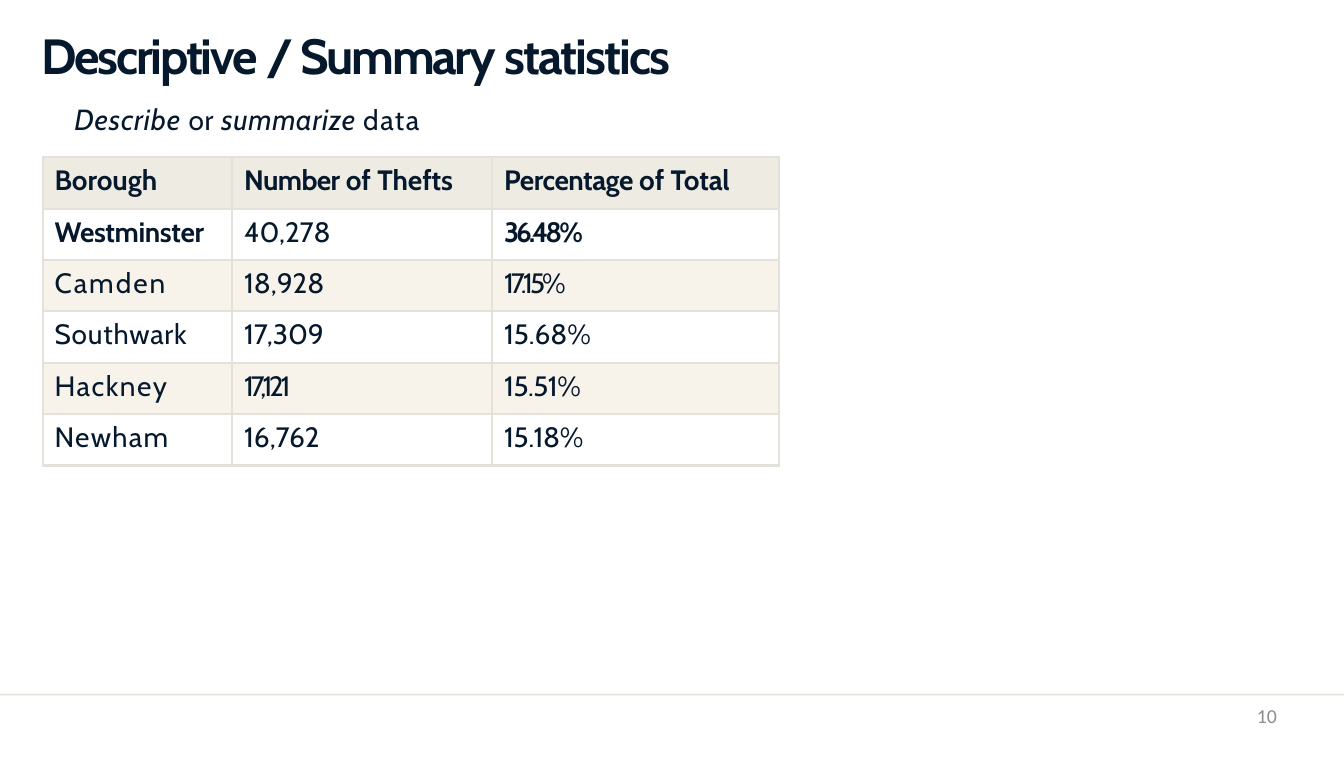
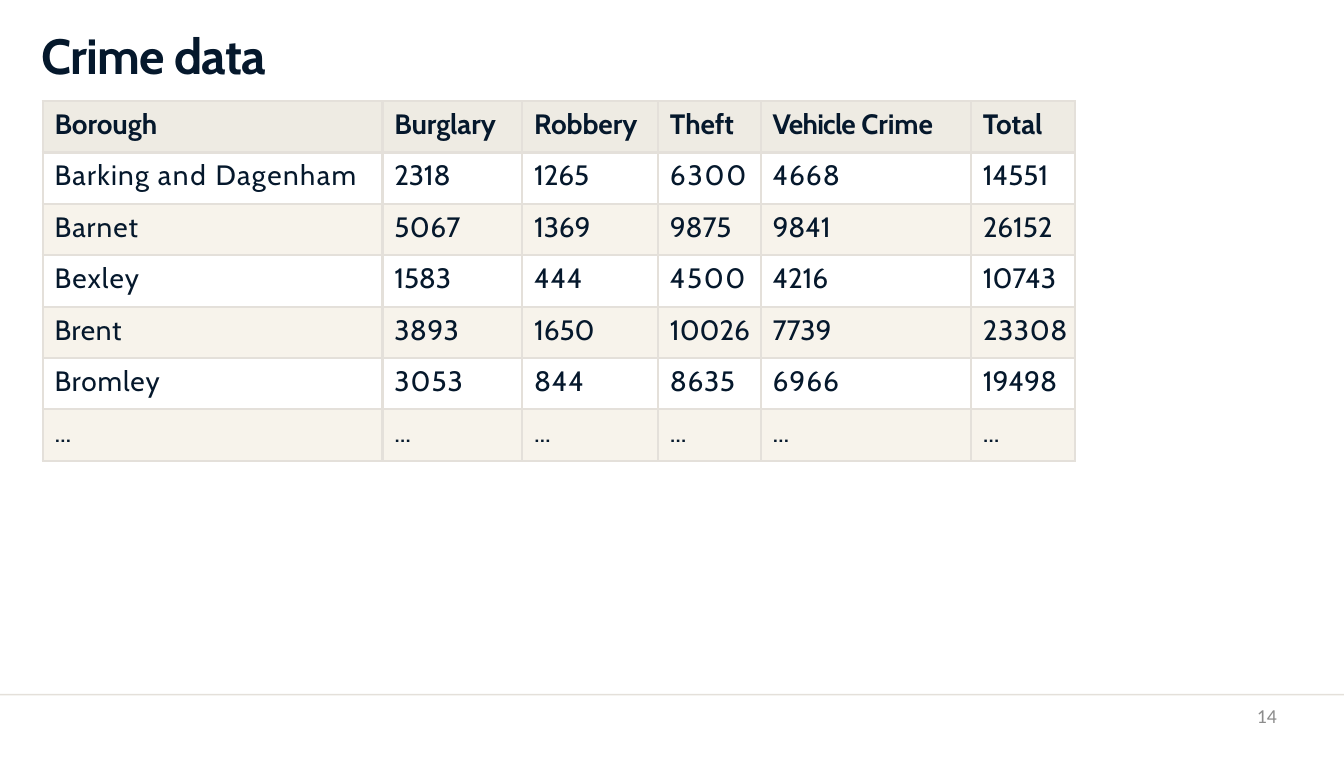
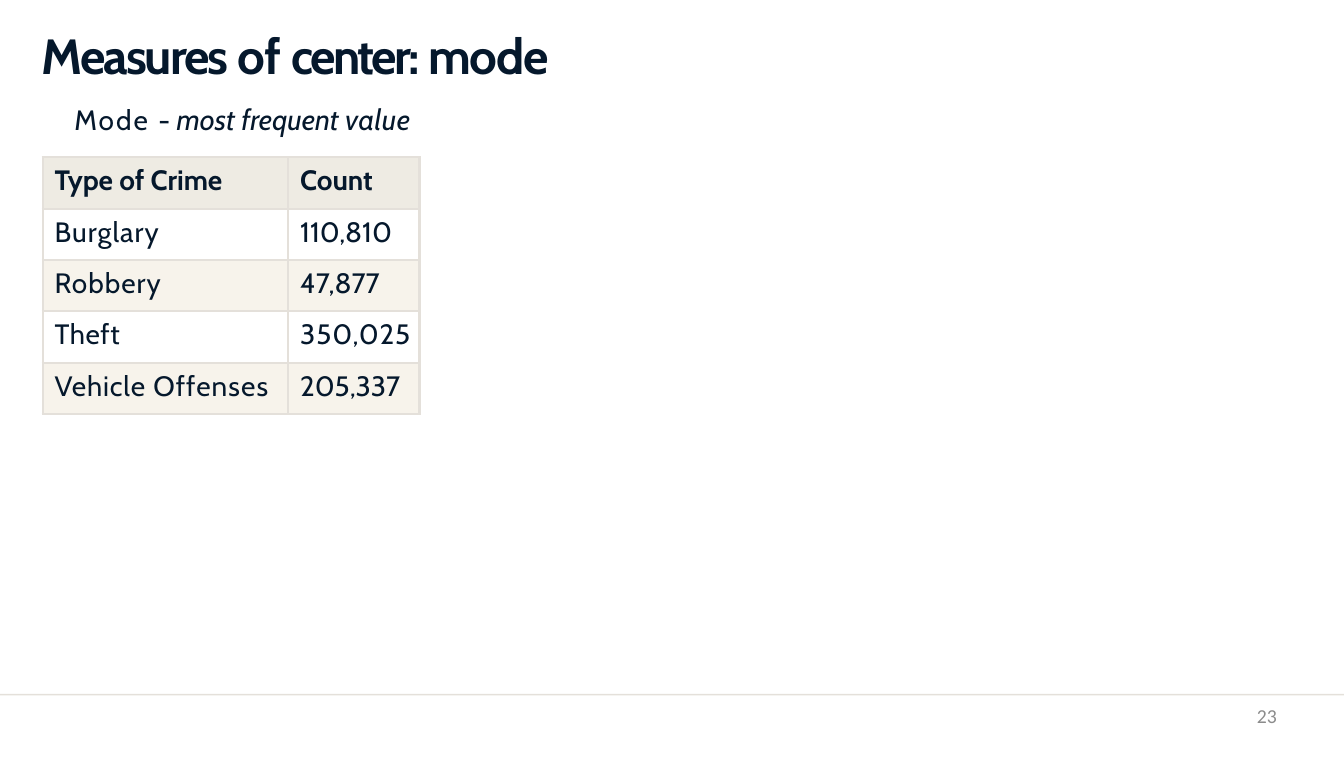
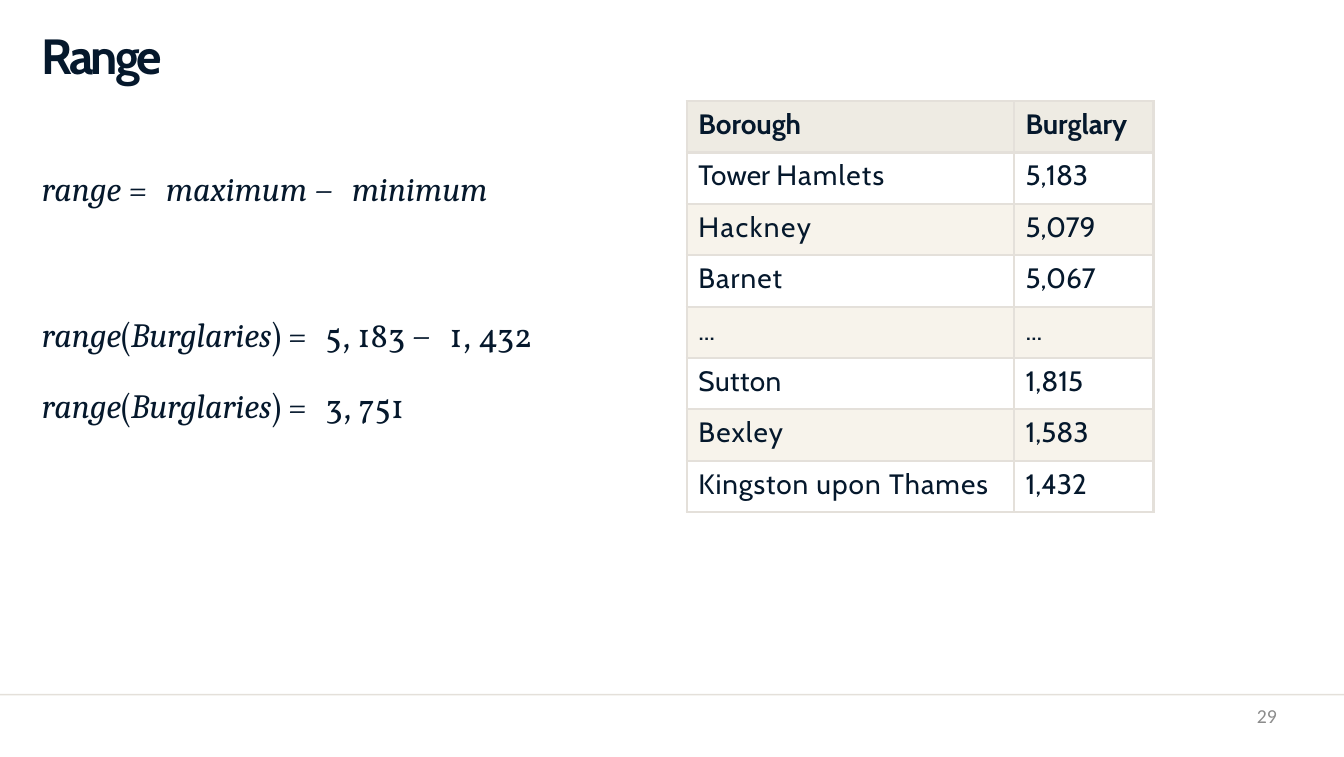
from dataclasses import dataclass
from typing import NamedTuple, Optional

from lxml.etree import SubElement
from pptx import Presentation
from pptx.dml.color import RGBColor
from pptx.enum.shapes import MSO_SHAPE as Preset
from pptx.enum.text import MSO_ANCHOR as Anchor, MSO_AUTO_SIZE as AutoSize, PP_ALIGN as Align
from pptx.oxml.ns import qn
from pptx.util import Inches, Pt


@dataclass(frozen=True)
class Theme:
    ink: RGBColor = RGBColor(0x05, 0x18, 0x2C)
    rule: RGBColor = RGBColor(0xE4, 0xE0, 0xDA)
    header: RGBColor = RGBColor(0xEE, 0xEB, 0xE3)
    stripe: RGBColor = RGBColor(0xF7, 0xF3, 0xEB)
    muted: RGBColor = RGBColor(0x8C, 0x8C, 0x8C)
    font: str = "Cabin"
    number_font: str = "Calibri"
    variable_font: str = "Cambria"
    symbol_font: str = "Vollkorn"
    title_size: float = 45
    body_size: float = 25.5
    emphasis_size: float = 26.5
    equation_size: float = 31
    number_size: float = 18
    border_width: float = 2.25


THEME = Theme()


class Box(NamedTuple):
    left: float
    top: float
    width: float
    height: float

    def lengths(self):
        return [Inches(value) for value in self]


class Piece(NamedTuple):
    text: str
    spacing: float = -0.1
    bold: bool = False
    italic: bool = False
    font: str = THEME.font
    size: float = THEME.body_size
    color: RGBColor = THEME.ink


SLIDE_WIDTH, SLIDE_HEIGHT = 17.01, 9.58
TITLE_BOX = Box(0.53, 0.3, 15.84, 0.78)
SUBTITLE_BOX = Box(0.94, 1.27, 4.78, 0.47)
EQUATION_BOX = Box(0.53, 2.1, 6.85, 3.23)
NUMBER_BOX = Box(12.25, 8.91, 3.91, 0.48)
RULE_BOX = Box(0, 8.78, SLIDE_WIDTH, 0.02)
TABLE_LEFT, TABLE_TOP, TABLE_TOP_BELOW_SUBTITLE = 0.54, 1.28, 1.99
ROW_HEIGHT = 0.65


def write_pieces(paragraph, pieces, space_before=0.0):
    paragraph.space_before = Pt(space_before)
    for piece in pieces:
        run = paragraph.add_run()
        run.text = piece.text
        run.font.name = piece.font
        run.font.size = Pt(piece.size)
        run.font.bold = piece.bold
        run.font.italic = piece.italic
        run.font.color.rgb = piece.color
        run._r.get_or_add_rPr().set("spc", str(round(piece.spacing * 100)))


def prepare_frame(text_frame, top_margin):
    text_frame.word_wrap = True
    text_frame.auto_size = AutoSize.NONE
    text_frame.vertical_anchor = Anchor.TOP
    text_frame.margin_left = text_frame.margin_right = text_frame.margin_bottom = 0
    text_frame.margin_top = Inches(top_margin)


def add_text(slide, box, lines, top_margin=0.0, align=Align.LEFT):
    text_frame = slide.shapes.add_textbox(*box.lengths()).text_frame
    prepare_frame(text_frame, top_margin)
    for index, (pieces, space_before) in enumerate(lines):
        paragraph = text_frame.add_paragraph() if index else text_frame.paragraphs[0]
        paragraph.alignment = align
        write_pieces(paragraph, pieces, space_before)


def add_title(slide, box, words):
    title = slide.shapes.title
    title.left, title.top, title.width, title.height = box.lengths()
    prepare_frame(title.text_frame, 0.02)
    paragraph = title.text_frame.paragraphs[0]
    paragraph.alignment = Align.LEFT
    pieces = [Piece(text, spacing, bold=True, size=THEME.title_size) for text, spacing in words]
    write_pieces(paragraph, pieces, 1.1)


def add_subtitle(slide, box, pieces):
    add_text(slide, box, [(pieces, 1.1)], top_margin=0.01)


def add_number(slide, box, number):
    piece = Piece(str(number), 0, font=THEME.number_font, size=THEME.number_size, color=THEME.muted)
    add_text(slide, box, [([piece], 0)], align=Align.RIGHT)


def add_master_rule(presentation, slide, box):
    rule = slide.shapes.add_shape(Preset.RECTANGLE, *box.lengths())
    rule.shadow.inherit = False
    rule.fill.solid()
    rule.fill.fore_color.rgb = THEME.rule
    rule.line.fill.background()
    presentation.slide_master.shapes.element.append(rule.element)


def set_borders(cell):
    properties = cell._tc.get_or_add_tcPr()
    for index, side in enumerate(("lnL", "lnR", "lnT", "lnB")):
        line = SubElement(properties, qn(f"a:{side}"), w=str(Pt(THEME.border_width)))
        fill = SubElement(line, qn("a:solidFill"))
        SubElement(fill, qn("a:srgbClr"), val=str(THEME.rule))
        properties.insert(index, line)


def fill_cell(cell, color: Optional[RGBColor]):
    if color is None:
        cell.fill.background()
    else:
        cell.fill.solid()
        cell.fill.fore_color.rgb = color


def as_pieces(content, bold):
    if isinstance(content, str):
        return [Piece(content, bold=bold)]
    if isinstance(content, Piece):
        return [content]
    return [Piece(text, spacing, bold) for text, spacing in content]


def add_data_table(slide, left, top, widths, rows):
    box = Box(left, top, sum(widths), ROW_HEIGHT * len(rows))
    table = slide.shapes.add_table(len(rows), len(widths), *box.lengths()).table
    table.first_row = table.horz_banding = False
    for column, width in zip(table.columns, widths):
        column.width = Inches(width)
    for row_index, (row, contents) in enumerate(zip(table.rows, rows)):
        row.height = Inches(ROW_HEIGHT)
        is_header = row_index == 0
        color = THEME.header if is_header else (None, THEME.stripe)[(row_index + 1) % 2]
        for cell, content in zip(row.cells, contents):
            cell.margin_left, cell.margin_top = Inches(0.15), Inches(0.08)
            cell.margin_right = cell.margin_bottom = 0
            write_pieces(cell.text_frame.paragraphs[0], as_pieces(content, is_header), 5.9)
            fill_cell(cell, color)
            set_borders(cell)


def variable(text):
    return Piece(text, 0, italic=True, font=THEME.variable_font, size=THEME.equation_size)


def symbol(text, spacing=0.0):
    return Piece(text, spacing, font=THEME.symbol_font, size=THEME.equation_size)


def emphasis(text, spacing):
    return Piece(text, spacing, italic=True, size=THEME.emphasis_size)


def add_equations(slide, box):
    equals, minus = symbol("= ", 5.4), symbol("− ", 5.4)
    burglary_range = [variable("range"), symbol("("), variable("Burglaries"), symbol(") "), equals]
    lines = [
        ([variable("range "), equals, variable("maximum "), minus, variable("minimum")], 1.2),
        (burglary_range + [symbol("5, 183 "), minus, symbol("1, "), symbol("432", -0.2)], 96),
        (burglary_range + [symbol("3, "), symbol("751", -0.2)], 27.2),
    ]
    add_text(slide, box, lines, top_margin=0.02)


def add_titled_slide(presentation, words, number):
    slide = presentation.slides.add_slide(presentation.slide_layouts[5])
    add_title(slide, TITLE_BOX, words)
    add_number(slide, NUMBER_BOX, number)
    return slide


def build_summary_slide(presentation):
    words = [("Descriptive ", -2.1), ("/ ", -3.4), ("Summary ", -2.2), ("statistics", -1.8)]
    slide = add_titled_slide(presentation, words, 10)
    add_subtitle(slide, SUBTITLE_BOX, [
        emphasis("Describe ", 0.8), Piece("or ", 0.6), emphasis("summarize ", 0.6), Piece("data", 1.4)])
    add_data_table(slide, TABLE_LEFT, TABLE_TOP_BELOW_SUBTITLE, [2.4, 3.29, 3.63], [
        ["Borough", [("Number ", -0.6), ("of ", 0), ("Thefts", -0.1)],
         [("Percentage ", -0.5), ("of ", 0), ("Total", -0.2)]],
        [Piece("Westminster", -0.4, bold=True), "40,278", Piece("36.48%", -2.8, bold=True)],
        [Piece("Camden", 1.8), "18,928", Piece("17.15%", -2.8)],
        [Piece("Southwark", 0.7), "17,309", "15.68%"],
        [Piece("Hackney", 1.4), Piece("17,121", -3.1), Piece("15.51%", -0.5)],
        [Piece("Newham", 1.2), "16,762", Piece("15.18%", -0.3)],
    ])
    return slide


def build_crime_slide(presentation):
    slide = add_titled_slide(presentation, [("Crime ", -1), ("data", -0.8)], 14)
    add_data_table(slide, TABLE_LEFT, TABLE_TOP, [4.3, 1.77, 1.72, 1.3, 2.66, 1.32], [
        ["Borough", "Burglary", "Robbery", "Theft", [("Vehicle ", -0.7), ("Crime", -0.1)], "Total"],
        [[("Barking ", 1.1), ("and ", 1.5), ("Dagenham", 1.3)], Piece("2318", -0.2),
         Piece("1265", -0.2), Piece("6300", 1.6), Piece("4668", 0.8), "14551"],
        [Piece("Barnet", 0.9), Piece("5067", 0.4), Piece("1369", -0.2), Piece("9875", -0.2),
         Piece("9841", -0.2), "26152"],
        [Piece("Bexley", 1), Piece("1583", -0.2), Piece("444", 0.7), Piece("4500", 1.4),
         Piece("4216", -0.2), "10743"],
        [Piece("Brent", 0.6), Piece("3893", 0.3), Piece("1650", -0.2), "10026",
         Piece("7739", -0.2), Piece("23308", 0.5)],
        [Piece("Bromley", 0.8), Piece("3053", 0.9), Piece("844", 0.7), Piece("8635", 0.5),
         Piece("6966", 0.8), "19498"],
        [Piece("...", -0.2)] * 6,
    ])


def build_mode_slide(presentation):
    words = [("Measures ", -1.9), ("of ", -0.9), ("center: ", -2.5), ("mode", -1.1)]
    slide = add_titled_slide(presentation, words, 23)
    add_subtitle(slide, SUBTITLE_BOX, [
        Piece("Mode ", 1.8), Piece("- ", 0), emphasis("most frequent ", 0), emphasis("value", 0.5)])
    add_data_table(slide, TABLE_LEFT, TABLE_TOP_BELOW_SUBTITLE, [3.11, 1.66], [
        [[("Type ", -0.1), ("of ", 0), ("Crime", -0.1)], "Count"],
        [Piece("Burglary", 0.9), "110,810"],
        [Piece("Robbery", 0.9), "47,877"],
        [Piece("Theft", 0.5), Piece("350,025", 0.7)],
        [[("Vehicle ", 0.8), ("Offenses", 1)], "205,337"],
    ])


def build_range_slide(presentation):
    slide = add_titled_slide(presentation, [("Range", -2.8)], 29)
    add_equations(slide, EQUATION_BOX)
    add_data_table(slide, 8.69, TABLE_TOP, [4.14, 1.77], [
        ["Borough", "Burglary"],
        [[("Tower ", 0), ("Hamlets", 1.1)], "5,183"],
        [Piece("Hackney", 1.4), "5,079"],
        [Piece("Barnet", 0.9), "5,067"],
        [Piece("...", -0.2)] * 2,
        [Piece("Sutton", 0.4), "1,815"],
        [Piece("Bexley", 1), "1,583"],
        [[("Kingston ", 0.8), ("upon Thames", 0.9)], "1,432"],
    ])


def main():
    presentation = Presentation()
    presentation.slide_width, presentation.slide_height = Inches(SLIDE_WIDTH), Inches(SLIDE_HEIGHT)
    first_slide = build_summary_slide(presentation)
    add_master_rule(presentation, first_slide, RULE_BOX)
    build_crime_slide(presentation)
    build_mode_slide(presentation)
    build_range_slide(presentation)
    presentation.save("out.pptx")


if __name__ == "__main__":
    main()
